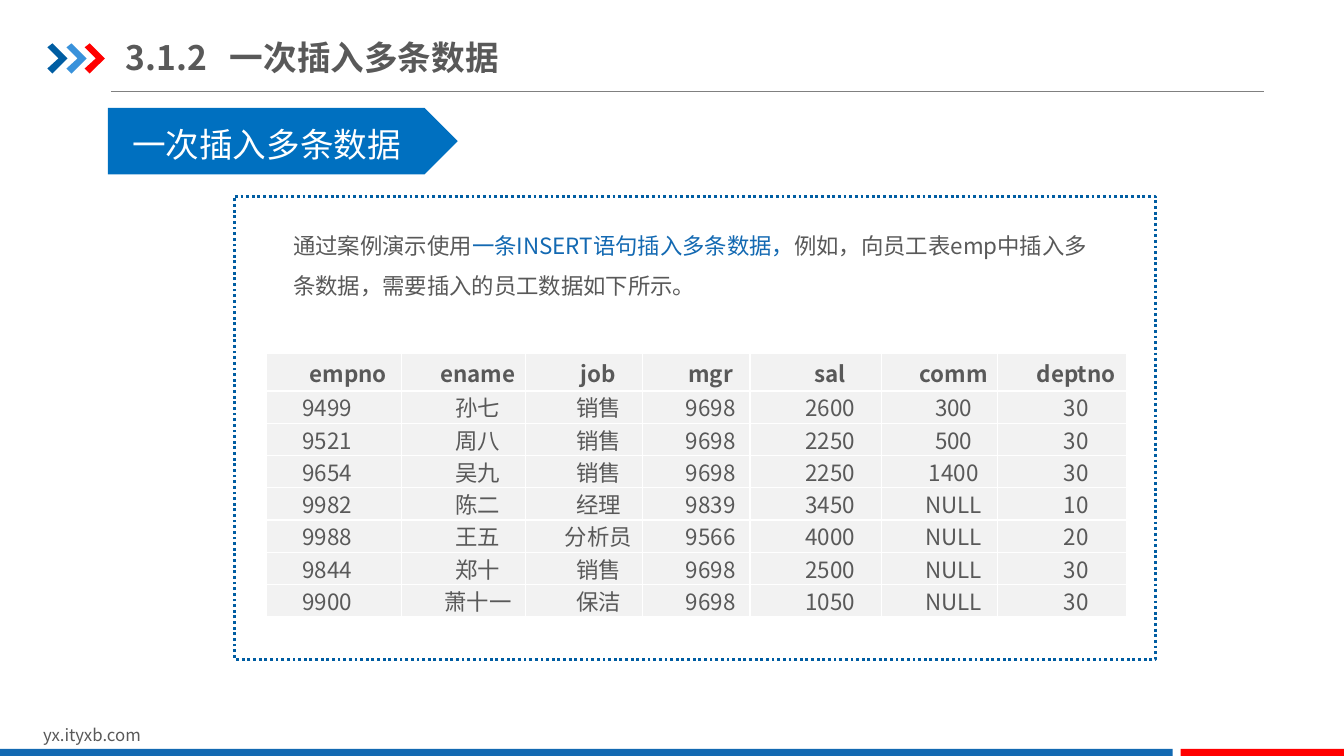
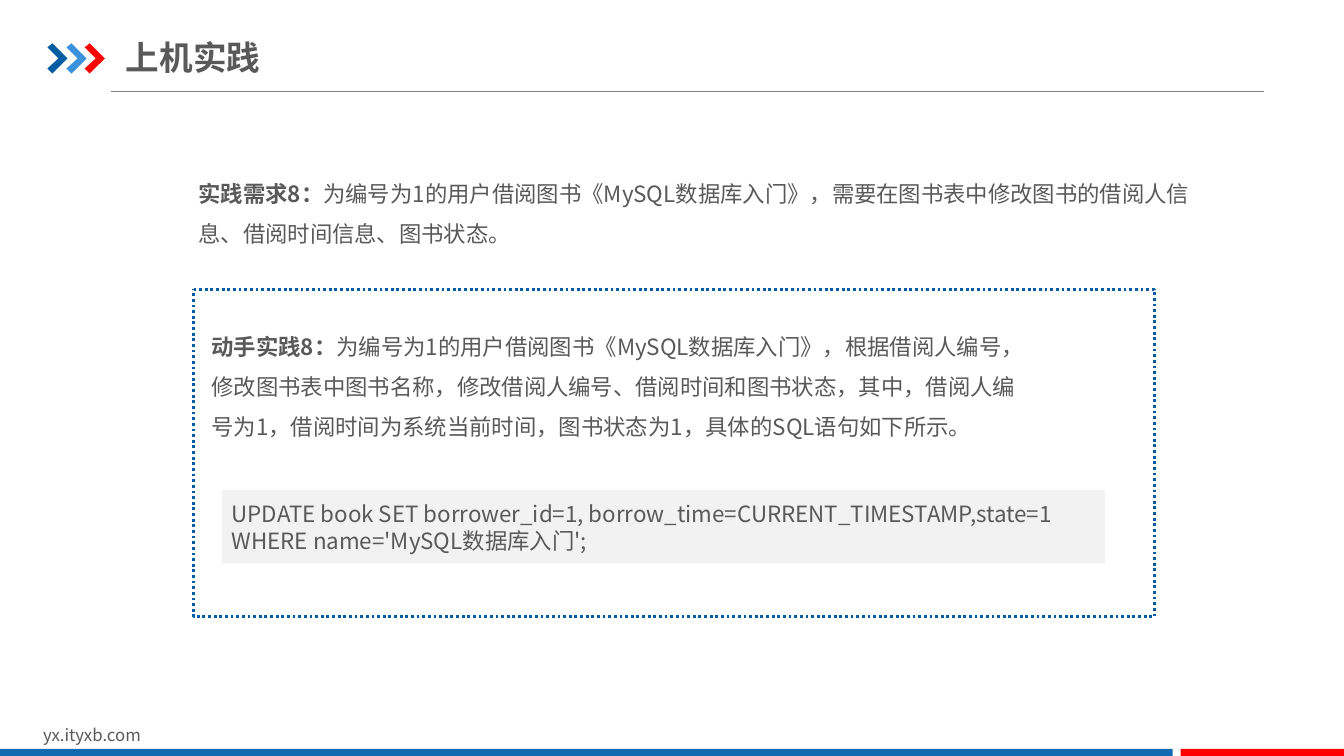
from dataclasses import dataclass

from lxml.etree import SubElement
from pptx import Presentation
from pptx.dml.color import RGBColor
from pptx.enum.dml import MSO_LINE
from pptx.enum.shapes import MSO_CONNECTOR, MSO_SHAPE
from pptx.enum.text import MSO_ANCHOR, PP_ALIGN
from pptx.oxml.ns import qn
from pptx.util import Pt


@dataclass(frozen=True)
class Theme:
    font: str = "Noto Sans CJK SC"
    text: RGBColor = RGBColor.from_string("595959")
    white: RGBColor = RGBColor.from_string("FFFFFF")
    panel: RGBColor = RGBColor.from_string("F2F2F2")
    rule: RGBColor = RGBColor.from_string("808080")
    navy: RGBColor = RGBColor.from_string("005DA2")
    sky: RGBColor = RGBColor.from_string("3992DB")
    blue: RGBColor = RGBColor.from_string("1369B2")
    banner: RGBColor = RGBColor.from_string("0070C0")
    red: RGBColor = RGBColor.from_string("FF0000")
    heading_size: int = 24
    body_size: int = 16
    footer_size: int = 12


theme = Theme()
PX = 9144


def add_box(slide, bounds, kind=None, fill=None, outline=None):
    left, top, width, height = (value * PX for value in bounds)
    if kind is None:
        shape = slide.shapes.add_textbox(left, top, width, height)
    else:
        shape = slide.shapes.add_shape(kind, left, top, width, height)
        shape.shadow.inherit = False
        shape.fill.solid()
        shape.fill.fore_color.rgb = fill
        if outline is None:
            shape.line.fill.background()
        else:
            shape.line.color.rgb = outline
            shape.line.width = Pt(2)
            shape.line.dash_style = MSO_LINE.ROUND_DOT
    shape.text_frame.word_wrap = True
    return shape


def write(paragraph, texts, size=theme.body_size, color=theme.text, bold=None,
          alignment=PP_ALIGN.LEFT, spacing=None):
    for text in texts:
        paragraph.add_run().text = text
    paragraph.alignment = alignment
    paragraph.line_spacing = spacing
    font = paragraph.font
    font.size = Pt(size)
    font.bold = bold
    font.color.rgb = color
    font.name = theme.font
    defaults = paragraph._p.pPr.find(qn("a:defRPr"))
    SubElement(defaults, qn("a:ea"), typeface=theme.font)
    return paragraph.runs


presentation = Presentation()
presentation.slide_width = 1333 * PX
presentation.slide_height = 750 * PX

chevrons = [(47, theme.navy), (66, theme.sky), (84, theme.red)]
footer_bands = [((0, 743, 1163, 9), theme.blue), ((1171, 743, 163, 9), theme.red)]
slides = []
for title in ["3.1.2\t一次插入多条数据", "上机实践"]:
    slide = presentation.slides.add_slide(presentation.slide_layouts[6])
    slides.append(slide)

    rule = slide.shapes.add_connector(
        MSO_CONNECTOR.STRAIGHT, 110 * PX, 91 * PX, 1254 * PX, 91 * PX)
    rule.line.color.rgb = theme.rule
    rule.line.width = Pt(0.75)
    SubElement(rule._element.spPr, qn("a:effectLst"))

    for left, color in chevrons:
        builder = slide.shapes.build_freeform(left, 47, scale=PX)
        builder.add_line_segments(
            [(left + 5, 43), (left + 20, 58), (left + 5, 73), (left, 68), (left + 11, 58)])
        chevron = builder.convert_to_shape()
        chevron.shadow.inherit = False
        chevron.fill.solid()
        chevron.fill.fore_color.rgb = color
        chevron.line.fill.background()

    footer = add_box(slide, (33, 714, 318, 30))
    write(footer.text_frame.paragraphs[0], ["yx.ityxb.com"], theme.footer_size)
    for bounds, color in footer_bands:
        add_box(slide, bounds, MSO_SHAPE.RECTANGLE, color)

    frame = add_box(slide, (125, 29, 426, 55)).text_frame
    frame.vertical_anchor = MSO_ANCHOR.MIDDLE
    frame.margin_left = frame.margin_right = 0
    frame.margin_top = frame.margin_bottom = 7 * PX
    paragraph = frame.paragraphs[0]
    tabs = SubElement(paragraph._p.get_or_add_pPr(), qn("a:tabLst"))
    SubElement(tabs, qn("a:tab"), pos=str(103 * PX), algn="l")
    write(paragraph, [title], theme.heading_size, bold=True)

insert_slide, practice_slide = slides

add_box(insert_slide, (233, 195, 913, 459), MSO_SHAPE.FLOWCHART_PROCESS,
        theme.white, theme.navy)
introduction = add_box(insert_slide, (281, 212, 821, 91))
runs = write(
    introduction.text_frame.paragraphs[0],
    ["通过案例演示使用", "一条INSERT语句插入多条数据，",
     "例如，向员工表emp中插入多条数据，需要插入的员工数据如下所示。"],
    spacing=1.5)
runs[1].font.color.rgb = theme.blue

employees = [
    ("empno", "ename", "job", "mgr", "sal", "comm", "deptno"),
    ("9499", "孙七", "销售", "9698", "2600", "300", "30"),
    ("9521", "周八", "销售", "9698", "2250", "500", "30"),
    ("9654", "吴九", "销售", "9698", "2250", "1400", "30"),
    ("9982", "陈二", "经理", "9839", "3450", "NULL", "10"),
    ("9988", "王五", "分析员", "9566", "4000", "NULL", "20"),
    ("9844", "郑十", "销售", "9698", "2500", "NULL", "30"),
    ("9900", "萧十一", "保洁", "9698", "1050", "NULL", "30"),
]
column_widths = [134, 123, 116, 107, 130, 115, 128]
row_heights = [37] + [32] * 7
table = insert_slide.shapes.add_table(
    len(employees), len(column_widths), 264 * PX, 351 * PX,
    sum(column_widths) * PX, sum(row_heights) * PX).table
table.horz_banding = False
for column, width in zip(table.columns, column_widths):
    column.width = width * PX
for row, height in zip(table.rows, row_heights):
    row.height = height * PX
for row_index, employee in enumerate(employees):
    for column_index, value in enumerate(employee):
        cell = table.cell(row_index, column_index)
        cell.vertical_anchor = MSO_ANCHOR.MIDDLE
        cell.margin_left = cell.margin_right = 7 * PX
        cell.margin_top = cell.margin_bottom = 0
        for side in ["lnL", "lnR", "lnT", "lnB"]:
            border = SubElement(cell._tc.get_or_add_tcPr(), qn(f"a:{side}"), w=str(Pt(1)))
            border_fill = SubElement(border, qn("a:solidFill"))
            SubElement(border_fill, qn("a:srgbClr"), val=str(theme.white))
        cell.fill.solid()
        cell.fill.fore_color.rgb = theme.panel
        is_header = row_index == 0
        justified = column_index == 0 and not is_header
        paragraph = cell.text_frame.paragraphs[0]
        paragraph._p.get_or_add_pPr().set("indent", str(29 * PX))
        write(paragraph, [value], bold=is_header,
              alignment=PP_ALIGN.JUSTIFY if justified else PP_ALIGN.CENTER)

banner = add_box(insert_slide, (107, 107, 347, 66), MSO_SHAPE.PENTAGON, theme.banner)
frame = banner.text_frame
frame.vertical_anchor = MSO_ANCHOR.MIDDLE
frame.margin_left = 24 * PX
frame.margin_top = 6 * PX
frame.margin_right = frame.margin_bottom = 0
write(frame.paragraphs[0], ["一次插入多条数据"], theme.heading_size, theme.white)

add_box(practice_slide, (192, 287, 953, 325), MSO_SHAPE.FLOWCHART_PROCESS,
        theme.white, theme.navy)
practice_texts = [
    ((187, 160, 1023, 91), "实践需求8：",
     "为编号为1的用户借阅图书《MySQL数据库入门》，需要在图书表中修改图书的借阅人信息、"
     "借阅时间信息、图书状态。"),
    ((200, 312, 837, 131), "动手实践8：",
     "为编号为1的用户借阅图书《MySQL数据库入门》，根据借阅人编号，修改图书表中图书名称，"
     "修改借阅人编号、借阅时间和图书状态，其中，借阅人编号为1，借阅时间为系统当前时间，"
     "图书状态为1，具体的SQL语句如下所示。"),
]
for bounds, label, description in practice_texts:
    box = add_box(practice_slide, bounds)
    runs = write(box.text_frame.paragraphs[0], [label, description], spacing=1.5)
    runs[0].font.bold = True

code = add_box(practice_slide, (220, 486, 876, 73), MSO_SHAPE.RECTANGLE, theme.panel)
frame = code.text_frame
frame.vertical_anchor = MSO_ANCHOR.MIDDLE
write(frame.paragraphs[0],
      ["UPDATE book SET borrower_id=1, borrow_time=CURRENT_TIMESTAMP,state=1"])
write(frame.add_paragraph(), ["WHERE name='MySQL数据库入门';"])

presentation.save("out.pptx")
